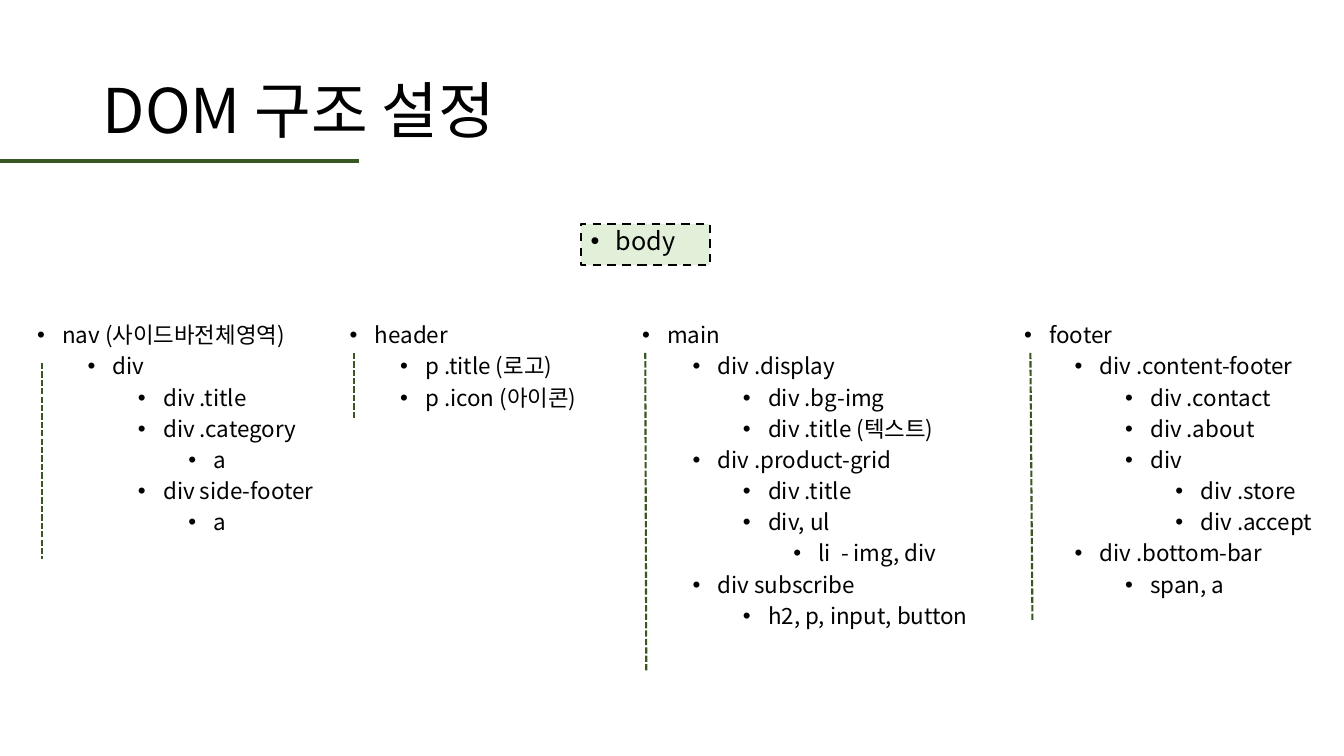
from lxml.etree import SubElement as sub
from pptx import Presentation
from pptx.dml.color import RGBColor
from pptx.enum.dml import MSO_LINE as Dash
from pptx.enum.shapes import MSO_CONNECTOR as Link, MSO_SHAPE as Shape
from pptx.enum.text import MSO_ANCHOR as Anchor, PP_ALIGN as Align
from pptx.oxml.ns import qn
from pptx.util import Inches, Pt

FONT = "Noto Sans CJK KR"
BLACK, GREEN, PALE = "000000", "385723", "E2F0D9"
TITLE = "DOM 구조 설정"
ROOT = [(0, "body")]
TOP, TALL = 3.17, 4.76

# left, width, guide line (x1, y1, x2, y2), tree of (level, text)
COLUMNS = [
    (0.27, 3.19, (0.42, 3.6, 0.42, 5.55), [
        (0, "nav (사이드바전체영역)"),
        (1, "div"),
        (2, "div .title"),
        (2, "div .category"),
        (3, "a"),
        (2, "div side-footer"),
        (3, "a"),
    ]),
    (3.37, 2.76, (3.51, 3.5, 3.51, 4.16), [
        (0, "header"),
        (1, "p .title (로고)"),
        (1, "p .icon (아이콘)"),
    ]),
    (6.27, 3.45, (6.4, 3.5, 6.41, 6.67), [
        (0, "main"),
        (1, "div .display"),
        (2, "div .bg-img"),
        (2, "div .title (텍스트)"),
        (1, "div .product-grid"),
        (2, "div .title"),
        (2, "div, ul"),
        (3, "li  - img, div"),
        (1, "div subscribe"),
        (2, "h2, p, input, button"),
    ]),
    (10.06, 3.27, (10.22, 3.5, 10.24, 6.15), [
        (0, "footer"),
        (1, "div .content-footer"),
        (2, "div .contact"),
        (2, "div .about"),
        (2, "div"),
        (3, "div .store"),
        (3, "div .accept"),
        (1, "div .bottom-bar"),
        (2, "span, a"),
    ]),
]


def color(code):
    return RGBColor.from_string(code)


def style(para, size):
    para.alignment = Align.LEFT
    para.line_spacing = 0.9
    font = para.font
    font.size, font.name = Pt(size), FONT
    font.color.rgb = color(BLACK)
    props = para._p.pPr.find(qn("a:defRPr"))
    sub(props, qn("a:ea")).set("typeface", FONT)


def fill_tree(frame, tree, size):
    """Write nested bullets, half an inch deeper per level."""
    frame.word_wrap = True
    for i, (level, text) in enumerate(tree):
        para = frame.add_paragraph() if i else frame.paragraphs[0]
        para.text, para.level = text, level
        props = para._p.get_or_add_pPr()
        props.set("marL", str(Inches(0.25 + 0.5 * level)))
        props.set("indent", str(Inches(-0.25)))
        para.space_before = Pt(5 if i else 0)
        sub(props, qn("a:buFont")).set("typeface", "Arial")
        sub(props, qn("a:buChar")).set("char", "•")
        style(para, size)


def add_line(slide, ends, width, dash=None):
    line = slide.shapes.add_connector(Link.STRAIGHT, *map(Inches, ends))
    line.line.color.rgb = color(GREEN)
    line.line.width = Pt(width)
    if dash:
        line.line.dash_style = dash
    sub(line._element.spPr, qn("a:effectLst"))


def add_box(slide, *place):
    return slide.shapes.add_textbox(*map(Inches, place)).text_frame


def main():
    deck = Presentation()
    deck.slide_width, deck.slide_height = Inches(13.33), Inches(7.5)
    slide = deck.slides.add_slide(deck.slide_layouts[6])

    title = add_box(slide, 0.92, 0.4, 11.5, 1.45)
    title.word_wrap = True
    title.vertical_anchor = Anchor.MIDDLE
    title.text = TITLE
    style(title.paragraphs[0], 44)
    add_line(slide, (0, 1.6, 3.56, 1.6), 3)

    root = slide.shapes.add_shape(
        Shape.RECTANGLE, *map(Inches, (5.76, 2.22, 1.28, 0.41)))
    root.shadow.inherit = False
    root.fill.solid()
    root.fill.fore_color.rgb = color(PALE)
    root.line.color.rgb = color(BLACK)
    root.line.width = Pt(1.5)
    root.line.dash_style = Dash.DASH
    root.text_frame.vertical_anchor = Anchor.TOP
    fill_tree(root.text_frame, ROOT, 18)

    for left, width, guide, tree in COLUMNS:
        fill_tree(add_box(slide, left, TOP, width, TALL), tree, 16)
        add_line(slide, guide, 1.5, Dash.SQUARE_DOT)

    deck.save("out.pptx")


if __name__ == "__main__":
    main()
